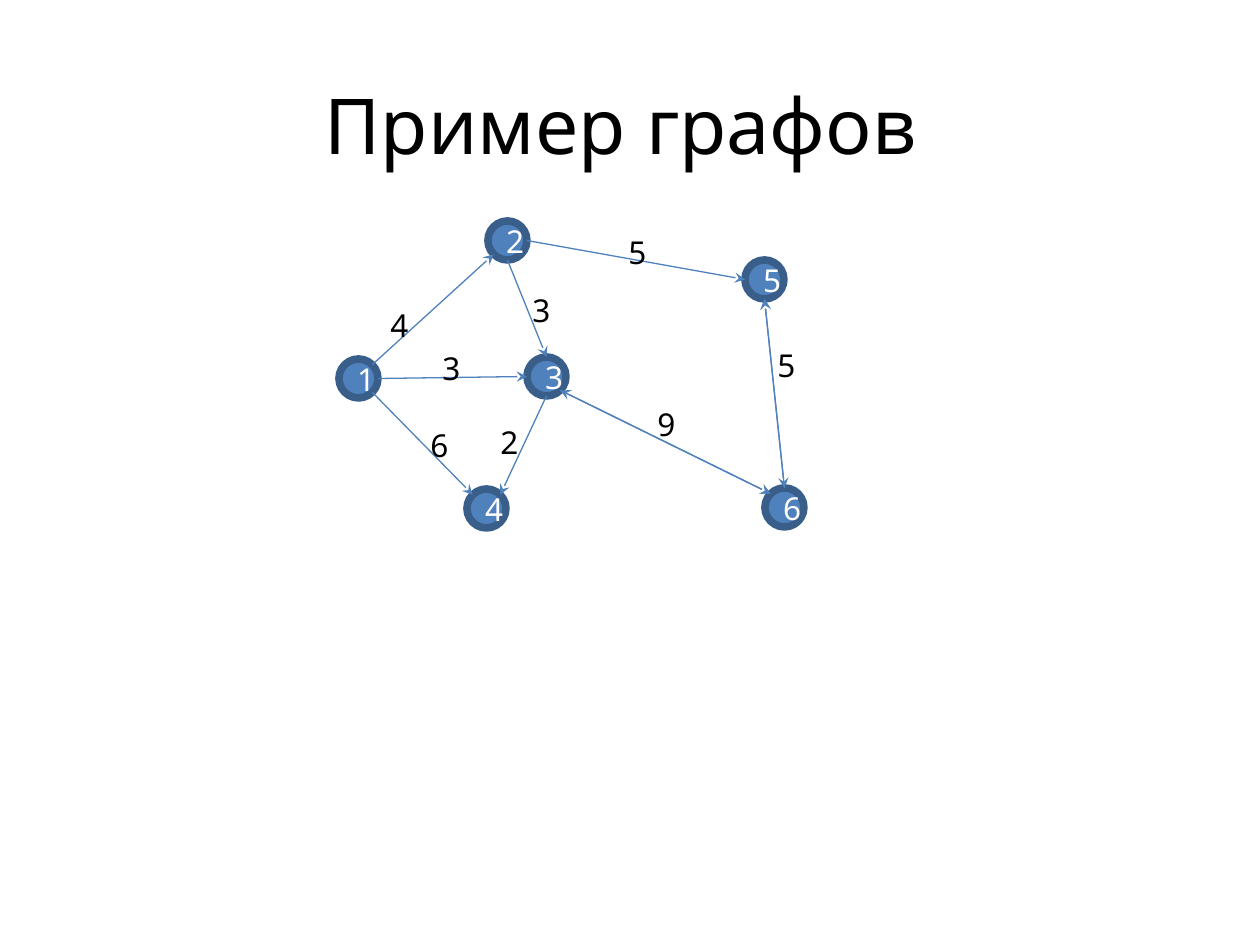
from lxml import etree
from pptx import Presentation
from pptx.dml.color import RGBColor
from pptx.enum.shapes import MSO_CONNECTOR, MSO_SHAPE
from pptx.enum.text import MSO_ANCHOR, PP_ALIGN
from pptx.oxml.ns import qn
from pptx.util import Emu, Pt

OVAL = MSO_SHAPE.OVAL
STRAIGHT = MSO_CONNECTOR.STRAIGHT
TOP, MIDDLE = MSO_ANCHOR.TOP, MSO_ANCHOR.MIDDLE
LEFT, CENTER = PP_ALIGN.LEFT, PP_ALIGN.CENTER

PX_PER_INCH = 126
FONT = "Noto Sans"
COLORS = {"text": "000000", "node": "4F81BD", "ring": "395E89",
          "edge": "4F81BD", "node_text": "FFFFFF"}

NODE_SIZE = 39
NODES = {"1": (339, 359), "4": (467, 489), "2": (488, 221),
         "3": (527, 357), "5": (745, 260), "6": (765, 488)}

# Points on a circle of radius 1, named by compass direction.
DIAGONAL = 0.71
SITES = {"N": (0, -1), "S": (0, 1), "W": (-1, 0), "E": (1, 0),
         "NW": (-DIAGONAL, -DIAGONAL), "NE": (DIAGONAL, -DIAGONAL),
         "SW": (-DIAGONAL, DIAGONAL), "SE": (DIAGONAL, DIAGONAL)}

TWO_WAY_EDGES = [("3", "SE", "6", "NW"), ("6", "N", "5", "S")]
EDGES = [("1", "NE", "2", "SW"), ("1", "E", "3", "W"), ("1", "SE", "4", "NW"),
         ("2", "E", "5", "W"), ("2", "S", "3", "N"), ("3", "S", "4", "NE"),
         *TWO_WAY_EDGES]

WEIGHT_SIZE = (39, 50)
WEIGHTS = [("4", 378, 300), ("3", 430, 343), ("6", 418, 420), ("2", 488, 417),
           ("5", 616, 227), ("3", 520, 285), ("9", 645, 399), ("5", 765, 340)]


def px(value):
    return Emu(round(value * 914400 / PX_PER_INCH))


def color(name):
    return RGBColor.from_string(COLORS[name])


def write_text(shape, text, size, color_name, alignment, anchor):
    frame = shape.text_frame
    frame.word_wrap = True
    frame.vertical_anchor = anchor
    paragraph = frame.paragraphs[0]
    paragraph.alignment = alignment
    run = paragraph.add_run()
    run.text = text
    for name, value in {"name": FONT, "size": Pt(size)}.items():
        setattr(run.font, name, value)
    run.font.color.rgb = color(color_name)


def add_label(slide, text, box, size=18, alignment=LEFT, anchor=TOP):
    shape = slide.shapes.add_textbox(*map(px, box))
    write_text(shape, text, size, "text", alignment, anchor)


def add_node(slide, name, left, top):
    shape = slide.shapes.add_shape(OVAL, *map(px, (left, top, NODE_SIZE, NODE_SIZE)))
    shape.shadow.inherit = False
    shape.fill.solid()
    shape.fill.fore_color.rgb = color("node")
    shape.line.color.rgb = color("ring")
    shape.line.width = Pt(4.33)
    write_text(shape, name, 18, "node_text", CENTER, MIDDLE)


def site_point(node, site):
    """Return the point where an edge meets the circle of a node."""
    radius = NODE_SIZE / 2
    return [px(start + radius * (1 + offset))
            for start, offset in zip(NODES[node], SITES[site])]


def add_edge(slide, source, source_site, target, target_site, ends=("tailEnd",)):
    connector = slide.shapes.add_connector(
        STRAIGHT, *site_point(source, source_site), *site_point(target, target_site))
    connector.line.color.rgb = color("edge")
    connector.line.width = Pt(0.75)
    properties = connector.line._get_or_add_ln()
    for end in ends:
        etree.SubElement(properties, qn(f"a:{end}"), type="stealth")
    etree.SubElement(connector._element.spPr, qn("a:effectLst"))


def main():
    presentation = Presentation()
    presentation.slide_width, presentation.slide_height = px(1260), px(945)
    slide = presentation.slides.add_slide(presentation.slide_layouts[6])

    add_label(slide, "Пример графов", (54, 45, 1134, 158), 44, CENTER, MIDDLE)
    for name, position in NODES.items():
        add_node(slide, name, *position)
    for edge in EDGES:
        add_edge(slide, *edge)
    for weight, left, top in WEIGHTS:
        add_label(slide, weight, (left, top, *WEIGHT_SIZE))
    for edge in TWO_WAY_EDGES:
        add_edge(slide, *edge, ends=("headEnd", "tailEnd"))

    presentation.save("out.pptx")


if __name__ == "__main__":
    main()
